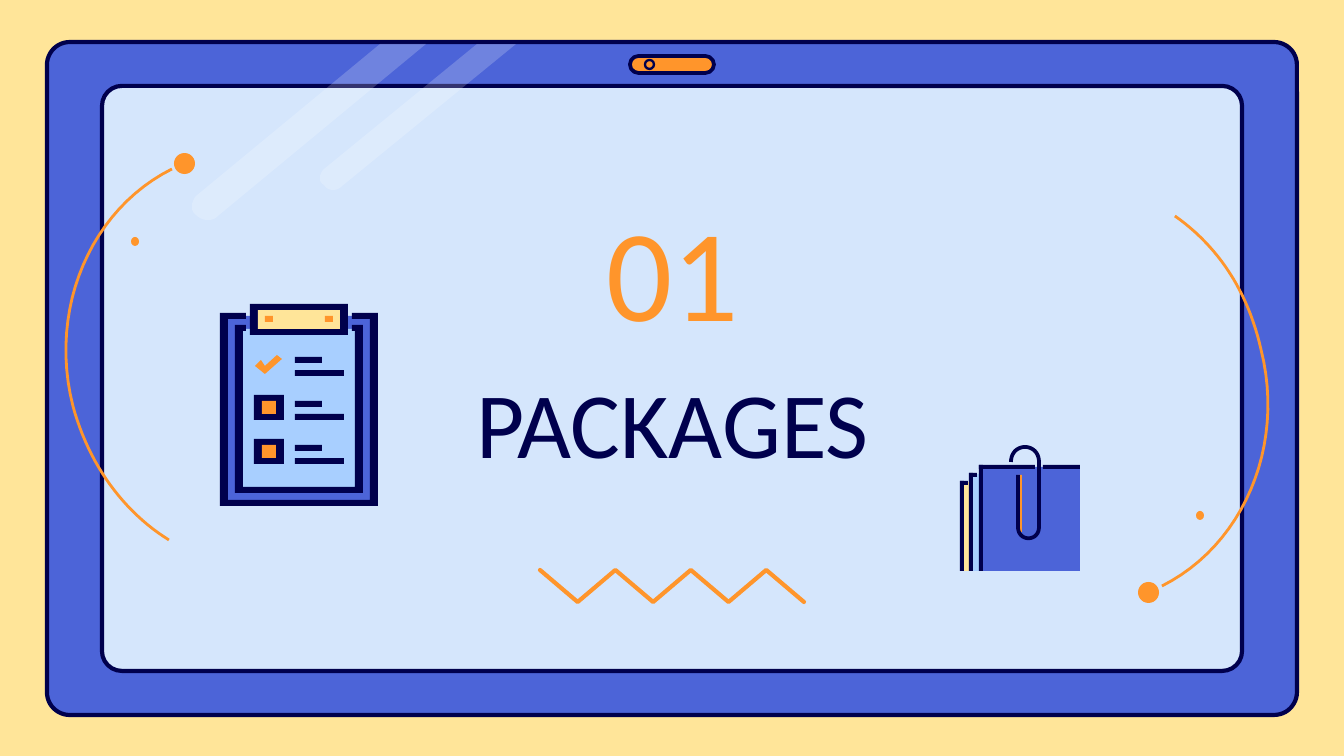
from dataclasses import dataclass

from lxml import etree
from pptx import Presentation
from pptx.dml.color import RGBColor
from pptx.enum.shapes import MSO_SHAPE
from pptx.enum.text import MSO_ANCHOR, MSO_AUTO_SIZE, PP_ALIGN
from pptx.oxml.ns import qn
from pptx.util import Pt

RECTANGLE = MSO_SHAPE.RECTANGLE
ROUNDED = MSO_SHAPE.ROUNDED_RECTANGLE
OVAL = MSO_SHAPE.OVAL
CENTER = PP_ALIGN.CENTER
MIDDLE, BOTTOM = MSO_ANCHOR.MIDDLE, MSO_ANCHOR.BOTTOM
NO_AUTOFIT = MSO_AUTO_SIZE.NONE

EMU_PER_PX = 914400 / 134.4
NAVY, INDIGO, ORANGE = "00004D", "4C64D8", "FF952B"
CREAM, PALE, SKY, WHITE = "FFE599", "D5E6FC", "A8CFFF", "FFFFFF"

Points = list[tuple[float, float]]


@dataclass(frozen=True)
class Box:
    left: int
    top: int
    width: int
    height: int

    @property
    def right(self) -> int:
        return self.left + self.width

    @property
    def bottom(self) -> int:
        return self.top + self.height

    def emu(self) -> list[int]:
        return [px(v) for v in (self.left, self.top, self.width, self.height)]

    def inset(self, dx: int, dy: int) -> "Box":
        return Box(self.left + dx, self.top + dy, self.width - 2 * dx, self.height - 2 * dy)


def px(value: float) -> int:
    return round(value * EMU_PER_PX)


def rgb(color: str) -> RGBColor:
    return RGBColor.from_string(color)


def paint(shape, fill: str | None, line: str | None = None, width: float = 0) -> None:
    shape.shadow.inherit = False
    if fill:
        shape.fill.solid()
        shape.fill.fore_color.rgb = rgb(fill)
    else:
        shape.fill.background()
    if line:
        shape.line.color.rgb = rgb(line)
        shape.line.width = Pt(width)
    else:
        shape.line.fill.background()


def draw(slide, box: Box, fill: str | None, kind=RECTANGLE, line: str | None = None,
         width: float = 0, radius: float | None = None) -> None:
    shape = slide.shapes.add_shape(kind, *box.emu())
    if radius is not None:
        shape.adjustments[0] = radius
    paint(shape, fill, line, width)


def outline(slide, points: Points, closed: bool):
    corners = [(px(x), px(y)) for x, y in points]
    builder = slide.shapes.build_freeform(*corners[0])
    builder.add_line_segments(corners[1:], close=closed)
    return builder.convert_to_shape()


def polygon(slide, points: Points, fill: str, opacity: int = 100) -> None:
    shape = outline(slide, points, True)
    paint(shape, fill)
    if opacity < 100:
        color = shape.fill._xPr.find(qn("a:solidFill"))[0]
        etree.SubElement(color, qn("a:alpha"), val=str(opacity * 1000))


def stroke(slide, points: Points, color: str, width: float, round_cap: bool = False) -> None:
    shape = outline(slide, points, False)
    paint(shape, None, color, width)
    if round_cap:
        line = shape.line._get_or_add_ln()
        line.set("cap", "rnd")
        etree.SubElement(line, qn("a:round"))


def curve(*controls: tuple[int, int], steps: int = 24) -> Points:
    points = []
    for step in range(steps + 1):
        t = step / steps
        weights = ((1 - t) ** 3, 3 * t * (1 - t) ** 2, 3 * t * t * (1 - t), t ** 3)
        points.append(tuple(sum(w * c[axis] for w, c in zip(weights, controls))
                            for axis in (0, 1)))
    return points


def write(shape, text: str, box: Box, size: int, color: str, anchor) -> None:
    shape.left, shape.top, shape.width, shape.height = box.emu()
    frame = shape.text_frame
    frame.word_wrap = True
    frame.auto_size = NO_AUTOFIT
    frame.vertical_anchor = anchor
    frame.margin_left = frame.margin_right = frame.margin_top = frame.margin_bottom = 0
    para = frame.paragraphs[0]
    para.alignment = CENTER
    span = para.add_run()
    span.text = text
    span.font.name = "Calibri"
    span.font.size = Pt(size)
    span.font.color.rgb = rgb(color)


def draw_tablet(slide) -> None:
    draw(slide, Box(47, 42, 1250, 673), INDIGO, ROUNDED, NAVY, 2.25, 0.034)
    draw(slide, Box(102, 86, 1140, 585), PALE, ROUNDED, NAVY, 2.25, 0.034)
    wide_glare = [(426, 44), *curve((218, 216), (214, 220), (211, 220), (207, 220)),
                  *curve((207, 220), (203, 220), (199, 218), (196, 215)),
                  *curve((196, 215), (190, 211), (191, 202), (196, 196)), (380, 44)]
    thin_glare = [(516, 44), *curve((341, 187), (339, 189), (336, 190), (333, 190)),
                  *curve((333, 190), (329, 190), (326, 188), (324, 185)),
                  *curve((324, 185), (317, 181), (320, 173), (324, 169)), (477, 44)]
    for glare in (wide_glare, thin_glare):
        polygon(slide, glare, WHITE, 20)
    draw(slide, Box(630, 56, 84, 17), ORANGE, ROUNDED, NAVY, 2, 0.5)
    draw(slide, Box(645, 60, 9, 9), None, OVAL, NAVY, 1.25)


def draw_orbits(slide) -> None:
    left_arc = (curve((172, 169), (92, 209), (48, 307), (73, 406))
                + curve((73, 406), (89, 465), (124, 512), (169, 540))[1:])
    right_arc = [(1334 - x, 755 - y) for x, y in left_arc[:25]]
    right_arc += curve((1261, 349), (1248, 292), (1219, 247), (1175, 216))[1:]
    for arc in (left_arc, right_arc):
        stroke(slide, arc, ORANGE, 1.5)
    for dot in (Box(174, 153, 21, 21), Box(131, 237, 8, 9),
                Box(1138, 582, 21, 21), Box(1196, 511, 8, 9)):
        draw(slide, dot, ORANGE, OVAL)


def draw_folders(slide) -> None:
    draw(slide, Box(962, 482, 10, 89), CREAM)
    draw(slide, Box(972, 474, 9, 97), SKY)
    draw(slide, Box(981, 467, 99, 104), INDIGO)
    for left, top, right in ((979, 465, 1035), (969, 473, 977), (960, 481, 968)):
        draw(slide, Box(left, top, 4, 571 - top), NAVY)
        draw(slide, Box(left, top, right - left, 4), NAVY)
    draw(slide, Box(1043, 465, 37, 4), NAVY)
    draw(slide, Box(1018, 475, 4, 57), ORANGE)
    clip = (curve((1011, 462), (1011, 442), (1039, 442), (1039, 462))
            + curve((1039, 527), (1039, 542), (1018, 542), (1018, 527)) + [(1018, 475)])
    stroke(slide, clip, NAVY, 2)


def draw_open_frame(slide, box: Box, gap_left: int, gap_right: int) -> None:
    hole = box.inset(8, 6)
    polygon(slide, [(gap_left, box.top), (box.left, box.top), (box.left, box.bottom),
                    (box.right, box.bottom), (box.right, box.top), (gap_right, box.top),
                    (gap_right, hole.top), (hole.right, hole.top), (hole.right, hole.bottom),
                    (hole.left, hole.bottom), (hole.left, hole.top), (gap_left, hole.top)], NAVY)


def draw_framed(slide, box: Box, fill: str) -> None:
    draw(slide, box, NAVY)
    draw(slide, box.inset(8, 6), fill)


def draw_clipboard(slide) -> None:
    draw(slide, Box(224, 316, 149, 187), INDIGO)
    draw(slide, Box(239, 329, 120, 160), SKY)
    for frame in (Box(220, 313, 158, 193), Box(235, 325, 128, 168)):
        draw_open_frame(slide, frame, 246, 352)
    draw_framed(slide, Box(250, 304, 98, 31), CREAM)
    for left in (265, 325):
        draw(slide, Box(left, 316, 8, 6), ORANGE)
    polygon(slide, [(277, 355), (265, 366), (261, 360), (255, 366), (265, 374), (282, 359)], ORANGE)
    for row in range(3):
        top = 357 + 44 * row
        draw(slide, Box(295, top, 27, 6), NAVY)
        draw(slide, Box(295, top + 13, 49, 6), NAVY)
        if row:
            draw_framed(slide, Box(254, top - 6, 30, 25), ORANGE)


def main() -> None:
    deck = Presentation()
    deck.slide_width, deck.slide_height = px(1344), px(756)
    page = deck.slides.add_slide(deck.slide_layouts[5])
    page.background.fill.solid()
    page.background.fill.fore_color.rgb = rgb(CREAM)
    draw_tablet(page)
    title = page.shapes.title
    title.element.getparent().append(title.element)
    write(title, "PACKAGES", Box(367, 312, 611, 165), 50, NAVY, BOTTOM)
    number_box = Box(367, 218, 611, 103)
    write(page.shapes.add_textbox(*number_box.emu()), "01", number_box, 70, ORANGE, MIDDLE)
    zigzag = [(540 + 264 * i / 7, 602 if i % 2 else 570) for i in range(8)]
    stroke(page, zigzag, ORANGE, 2.25, True)
    draw_orbits(page)
    draw_folders(page)
    draw_clipboard(page)
    deck.save("out.pptx")


if __name__ == "__main__":
    main()
